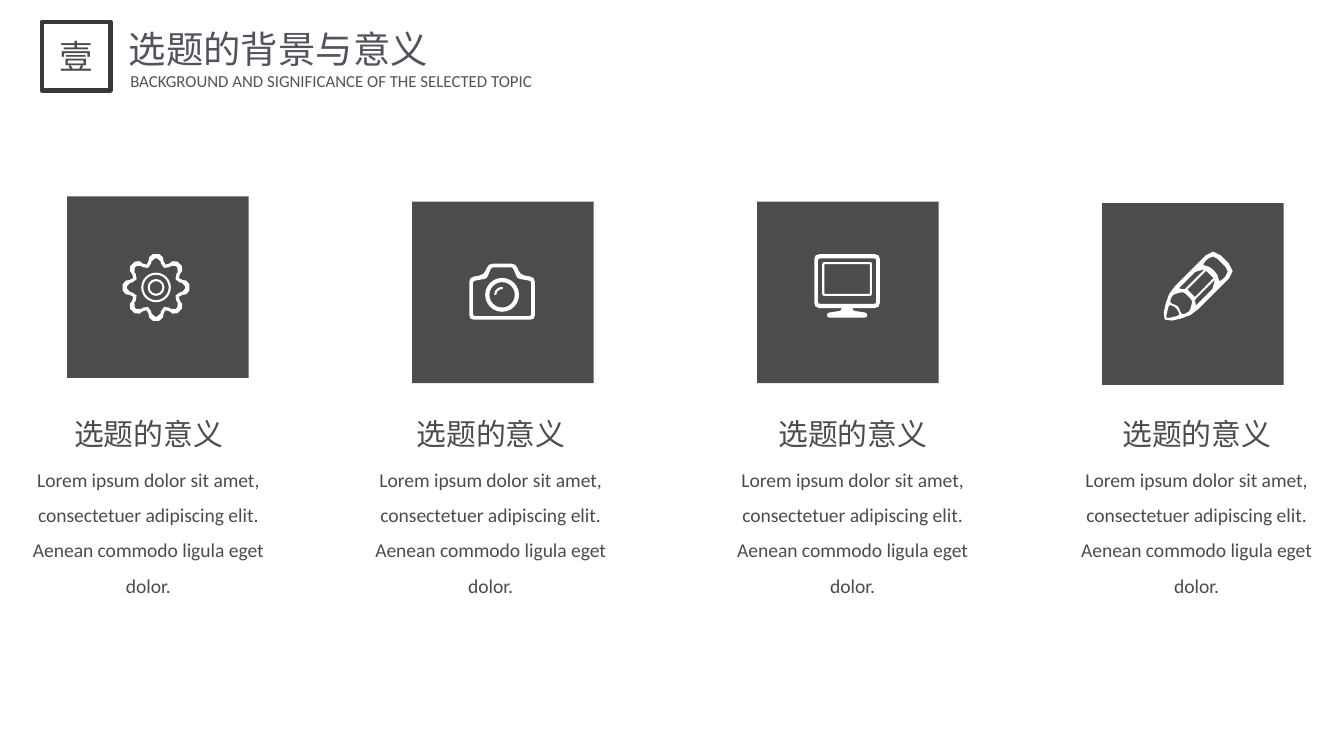
import math

import pptx
import pptx.dml.color
import pptx.enum.shapes
import pptx.enum.text
import pptx.oxml
import pptx.oxml.ns
import pptx.util

Cm = pptx.util.Cm
RGBColor = pptx.dml.color.RGBColor
ALIGN = pptx.enum.text.PP_ALIGN
ANCHOR = pptx.enum.text.MSO_ANCHOR
FIT = pptx.enum.text.MSO_AUTO_SIZE
PRESET = pptx.enum.shapes.MSO_SHAPE

WHITE = RGBColor(0xFF, 0xFF, 0xFF)
CHARCOAL = RGBColor(0x4C, 0x4C, 0x4C)
FRAME = RGBColor(0x38, 0x38, 0x38)
HEADING = RGBColor(0x54, 0x52, 0x5C)
LATIN = "Calibri"
CHINESE = "Noto Sans CJK SC"

UNITS_PER_CM = 1000
CAPTION = "选题的意义"
DESCRIPTION = ("Lorem ipsum dolor sit amet, consectetuer adipiscing elit. "
               "Aenean commodo ligula eget dolor.")


def write(shape, text, size, font, color, align=ALIGN.CENTER, spacing=None):
    shape.text_frame.text = text
    paragraph = shape.text_frame.paragraphs[0]
    paragraph.alignment = align
    if spacing:
        paragraph.line_spacing = spacing
    paragraph.font.size = pptx.util.Pt(size)
    paragraph.font.name = font
    paragraph.font.color.rgb = color
    defaults = paragraph._p.pPr.find(pptx.oxml.ns.qn("a:defRPr"))
    defaults.append(pptx.oxml.parse_xml(
        f'<a:ea {pptx.oxml.ns.nsdecls("a")} typeface="{font}"/>'))


def add_text(slide, box, text, size, font, color, wrap=True, spacing=None):
    label = slide.shapes.add_textbox(*map(Cm, box))
    label.text_frame.word_wrap = wrap
    label.text_frame.auto_size = FIT.SHAPE_TO_FIT_TEXT
    write(label, text, size, font, color, spacing=spacing)


def paint(shape, color):
    shape.shadow.inherit = False
    shape.fill.solid()
    shape.fill.fore_color.rgb = color
    shape.line.fill.background()


def add_square(slide, left, top, side, preset=PRESET.RECTANGLE):
    return slide.shapes.add_shape(
        preset, Cm(left), Cm(top), Cm(side), Cm(side))


def add_heading(slide):
    title = slide.shapes.title
    title.left, title.top, title.width, title.height = map(
        Cm, (2.18, 0.36, 7.42, 1.12))
    title.text_frame.vertical_anchor = ANCHOR.TOP
    title.text_frame.auto_size = FIT.NONE
    write(title, "选题的背景与意义", 20, CHINESE, HEADING, ALIGN.LEFT)
    add_text(slide, (2.18, 1.22, 8.15, 0.64),
             "BACKGROUND AND SIGNIFICANCE OF THE SELECTED TOPIC",
             9, LATIN, HEADING, wrap=False)
    badge = add_square(slide, 0.79, 0.41, 1.3)
    badge.shadow.inherit = False
    badge.fill.background()
    badge.line.color.rgb = FRAME
    badge.line.width = pptx.util.Pt(2.25)
    badge.text_frame.vertical_anchor = ANCHOR.MIDDLE
    write(badge, "壹", 18, LATIN, CHARCOAL)


def add_ring(slide, center, radius, thickness):
    x, y = center
    ring = add_square(slide, x - radius, y - radius, 2 * radius, PRESET.DONUT)
    ring.adjustments[0] = thickness / (2 * radius)
    paint(ring, WHITE)


def add_outline(slide, center, contours):
    builder = None
    for contour in contours:
        points = [(x * UNITS_PER_CM, y * UNITS_PER_CM) for x, y in contour]
        if builder is None:
            builder = slide.shapes.build_freeform(
                *points[0], scale=Cm(1) / UNITS_PER_CM)
        else:
            builder.move_to(*points[0])
        builder.add_line_segments(points[1:], close=True)
    paint(builder.convert_to_shape(*map(Cm, center)), WHITE)


def rounded(corners, radius, steps=2):
    points = []
    for i, corner in enumerate(corners):
        ends = []
        for neighbour in (corners[i - 1], corners[(i + 1) % len(corners)]):
            share = min(0.5, radius / math.dist(corner, neighbour))
            ends.append([c + (n - c) * share
                         for c, n in zip(corner, neighbour)])
        for t in (step / steps for step in range(steps + 1)):
            points.append(tuple(
                a * (1 - t) ** 2 + 2 * c * t * (1 - t) + b * t ** 2
                for a, c, b in zip(ends[0], corner, ends[1])))
    return points


def mirrored(half):
    return half + [(-x, y) for x, y in reversed(half)]


def arc(radius, start, end, y):
    angles = [math.radians(start + (end - start) * i / 6) for i in range(7)]
    return [(radius * math.cos(a), y + radius * math.sin(a)) for a in angles]


def cog(tip, root):
    corners = []
    for tooth in range(8):
        turn = math.radians(45 * tooth)
        for x, y in ((-root[0], -root[1]), (-tip[0], -tip[1]),
                     (tip[0], -tip[1]), (root[0], -root[1])):
            corners.append((x * math.cos(turn) - y * math.sin(turn),
                            x * math.sin(turn) + y * math.cos(turn)))
    return rounded(corners, 0.06, steps=1)


def add_gear(slide, center):
    add_outline(slide, center, [cog((0.12, 0.63), (0.15, 0.44)),
                                cog((0.08, 0.55), (0.1, 0.39))])
    for radius in (0.28, 0.16):
        add_ring(slide, center, radius, 0.04)


def add_camera(slide, center):
    body = [(0.26, -0.53), (0.34, -0.32), (0.62, -0.27), (0.62, 0.53)]
    cavity = [(0.2, -0.46), (0.29, -0.25), (0.55, -0.2), (0.55, 0.46)]
    lens_y = 0.06
    add_outline(slide, center, [rounded(mirrored(body), 0.09),
                                rounded(mirrored(cavity), 0.04)])
    add_ring(slide, (center[0], center[1] + lens_y), 0.32, 0.08)
    add_outline(slide, center, [arc(0.15, 180, 275, lens_y)
                                + arc(0.11, 275, 180, lens_y)])


def add_monitor(slide, center):
    def panel(x, top, bottom, radius):
        return rounded(mirrored([(x, top), (x, bottom)]), radius)

    stand = mirrored([(0.11, 0.42), (0.11, 0.47), (0.38, 0.51), (0.38, 0.6)])
    add_outline(slide, center, [panel(0.47, -0.45, 0.19, 0.04),
                                panel(0.43, -0.41, 0.15, 0.01)])
    add_outline(slide, center, [panel(0.62, -0.6, 0.42, 0.1),
                                panel(0.55, -0.52, 0.34, 0.04),
                                rounded(stand, 0.05)])


def add_pencil(slide, center):
    upper_stripe = [(-0.24, -0.23), (0.2, -0.23), (0.36, -0.14), (-0.18, -0.14)]
    parts = [
        ([(-0.93, 0), (-0.45, -0.31), (0.76, -0.31), (0.76, 0.31),
          (-0.45, 0.31)], 0.2),
        ([(0.36, -0.24), (0.67, -0.23), (0.67, 0.23), (0.36, 0.24),
          (0.47, 0.12), (0.47, -0.12)], 0.12),
        (upper_stripe, 0.02),
        ([(x, -y) for x, y in upper_stripe], 0.02),
        ([(-0.14, -0.1), (0.36, -0.1), (0.36, 0.1), (-0.14, 0.1)], 0.01),
        ([(-0.56, -0.16), (-0.41, -0.23), (-0.22, -0.12), (-0.22, 0.12),
          (-0.41, 0.23), (-0.56, 0.16), (-0.48, 0)], 0.06),
        ([(-0.82, 0), (-0.58, -0.15), (-0.53, 0), (-0.58, 0.15)], 0.06),
    ]
    tilt = math.sqrt(0.5)
    add_outline(slide, center, [
        [((along + across) * tilt, (across - along) * tilt)
         for along, across in rounded(corners, radius)]
        for corners, radius in parts])


def main():
    deck = pptx.Presentation()
    deck.slide_width, deck.slide_height = Cm(25.4), Cm(14.28)
    slide = deck.slides.add_slide(deck.slide_layouts[5])
    add_heading(slide)
    columns = [
        (3.71, 0.74, add_gear, (2.95, 5.43)),
        (3.81, 7.21, add_camera, (9.49, 5.51)),
        (3.81, 14.05, add_monitor, (16.01, 5.4)),
        (3.84, 20.55, add_pencil, (22.61, 5.44)),
    ]
    for i, (tile_top, caption_left, add_icon, center) in enumerate(columns):
        paint(add_square(slide, 1.27 + 6.52 * i, tile_top, 3.43), CHARCOAL)
        add_text(slide, (caption_left, 7.72, 4.14, 0.94),
                 CAPTION, 16, CHINESE, CHARCOAL)
        add_text(slide, (caption_left - 0.73, 8.49, 5.59, 2.87),
                 DESCRIPTION, 10.5, LATIN, CHARCOAL, spacing=1.5)
        add_icon(slide, center)
    deck.save("out.pptx")


if __name__ == "__main__":
    main()
